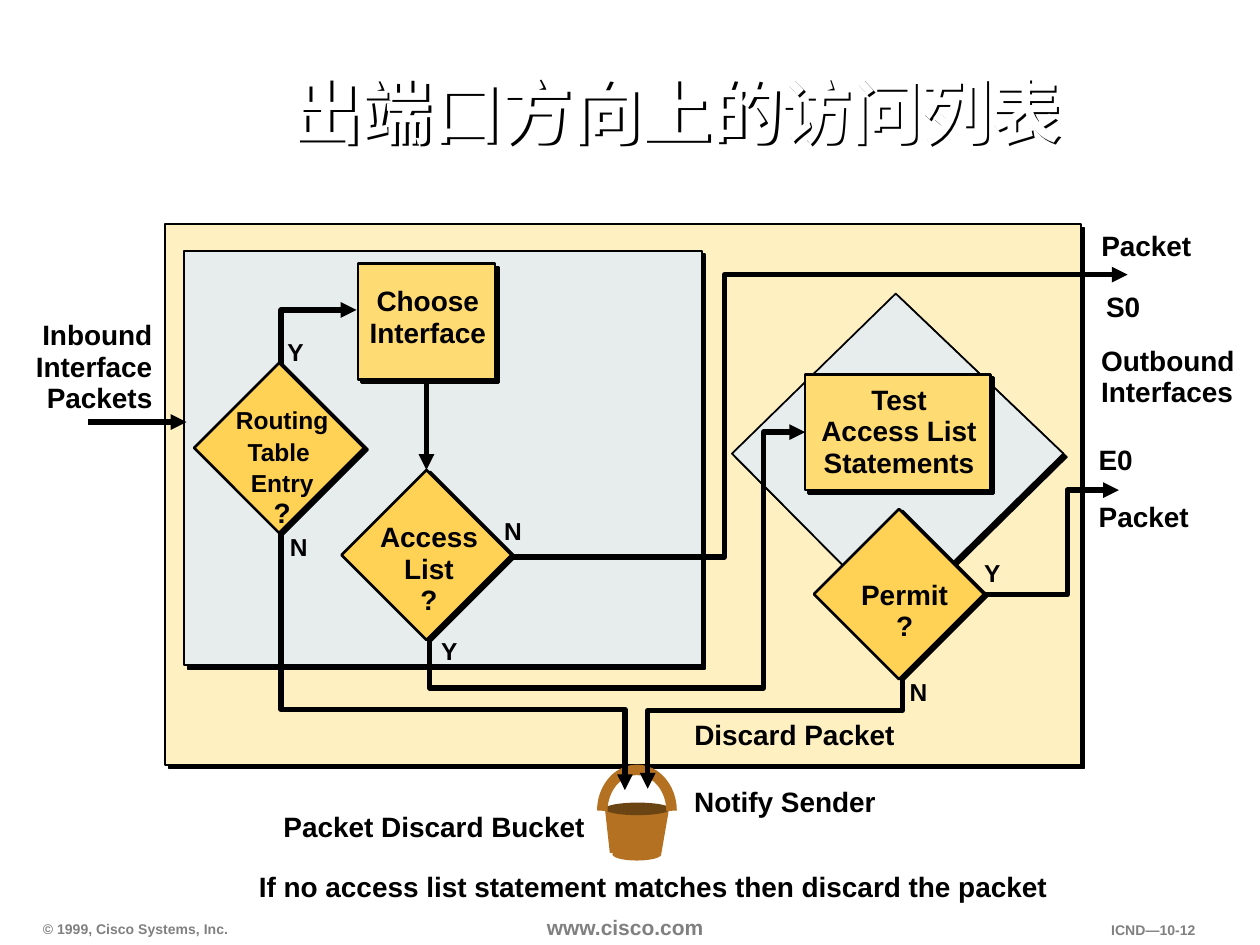
"""Builds the slide on outbound access list operation."""
from lxml import etree
from pptx import Presentation
from pptx import util as u
from pptx.dml.color import RGBColor
from pptx.enum import shapes, text
from pptx.oxml.ns import qn

COLORS = {
    "black": "000000", "white": "FFFFFF", "grey": "808080",
    "router": "FFF0C2", "panel": "E7EDED", "step": "FFDB74",
    "decision": "FFD255", "bucket": "B37121", "bucket_inside": "6B4414",
}
FONT = "Arial"
RECT, DIAMOND = shapes.MSO_SHAPE.RECTANGLE, shapes.MSO_SHAPE.DIAMOND
OVAL, ARC = shapes.MSO_SHAPE.OVAL, shapes.MSO_SHAPE.ARC
LEFT, CENTER, RIGHT = text.PP_ALIGN.LEFT, text.PP_ALIGN.CENTER, text.PP_ALIGN.RIGHT
TOP, MIDDLE, BOTTOM = (text.MSO_ANCHOR.TOP, text.MSO_ANCHOR.MIDDLE,
                       text.MSO_ANCHOR.BOTTOM)


def rgb(name):
    return RGBColor.from_string(COLORS[name])


def add_shadow(effects, distance, angle):
    shadow = etree.SubElement(effects, qn("a:outerShdw"), blurRad="0",
                              dist=str(u.Pt(distance)), dir=str(angle * 60000),
                              algn="ctr", rotWithShape="0")
    etree.SubElement(shadow, qn("a:srgbClr"), val=COLORS["black"])


def set_look(shape, fill=None, line=None, width=1, shadow=None):
    shape.shadow.inherit = False
    if fill:
        shape.fill.solid()
        shape.fill.fore_color.rgb = rgb(fill)
    else:
        shape.fill.background()
    if line:
        shape.line.color.rgb = rgb(line)
        shape.line.width = u.Pt(width)
    else:
        shape.line.fill.background()
    if shadow:
        add_shadow(shape._element.spPr.find(qn("a:effectLst")), *shadow)
    return shape


def add_preset(container, kind, box, **look):
    shape = container.add_shape(kind, *map(u.Inches, box))
    return set_look(shape, **look)


def add_outline(container, points, close=True, **look):
    corners = [(u.Inches(x), u.Inches(y)) for x, y in points]
    builder = container.build_freeform(*corners[0], scale=1.0)
    builder.add_line_segments(corners[1:], close=close)
    return set_look(builder.convert_to_shape(), **look)


def add_arrowhead(line):
    line.color.rgb = rgb("black")
    line.width = u.Pt(3)
    etree.SubElement(line._get_or_add_ln(), qn("a:tailEnd"), type="triangle")


def add_route(container, points):
    route = add_outline(container, points, close=False, line="black", width=3)
    add_arrowhead(route.line)


def add_arrow(container, start, end):
    arrow = container.add_connector(shapes.MSO_CONNECTOR.STRAIGHT,
                                    *map(u.Inches, (*start, *end)))
    add_arrowhead(arrow.line)
    etree.SubElement(arrow._element.spPr, qn("a:effectLst"))
    return arrow


def add_label(container, box, words, size=16, align=CENTER, spacing=u.Pt(18),
              color="black", anchor=TOP, insets=(0.02, 0.03), wrap=False):
    label = container.add_textbox(*map(u.Inches, box))
    frame = label.text_frame
    frame.word_wrap = wrap
    frame.vertical_anchor = anchor
    frame.margin_left = frame.margin_right = u.Inches(insets[0])
    frame.margin_top = frame.margin_bottom = u.Inches(insets[1])
    frame.text = words
    for paragraph in frame.paragraphs:
        paragraph.alignment = align
        paragraph.line_spacing = spacing
        paragraph.font.name = FONT
        paragraph.font.size = u.Pt(size)
        paragraph.font.bold = True
        paragraph.font.color.rgb = rgb(color)
    return frame


def add_title(container):
    for offset, color in ((0.02, "black"), (0, "white")):
        add_label(container, (1.2 + offset, 0.29 + offset, 8.34, 1.25),
                  "出端口方向上的访问列表", 40, spacing=0.9, color=color,
                  anchor=MIDDLE, insets=(0.09, 0.04), wrap=True)


def add_panels(container):
    look = {"line": "black", "shadow": (2.8, 45)}
    add_preset(container, RECT, (1.31, 1.78, 7.27, 4.29), fill="router", **look)
    add_outline(container, [(5.81, 3.6), (7.11, 2.33), (8.44, 3.6), (7.11, 4.91)],
                fill="panel", **look)
    add_preset(container, RECT, (1.46, 1.99, 4.11, 3.29), fill="panel", **look)


def add_bucket(container):
    parts = container.add_group_shape().shapes
    add_preset(parts, OVAL, (4.86, 6.73, 0.39, 0.1), fill="bucket")
    add_outline(parts, [(4.8, 6.41), (4.84, 6.77), (5.25, 6.77), (5.31, 6.42)],
                fill="bucket")
    add_preset(parts, OVAL, (4.8, 6.37, 0.52, 0.1), fill="bucket_inside")
    handle = add_preset(parts, ARC, (4.78, 6.11, 0.55, 0.65), line="bucket", width=6)
    handle.adjustments[0] = 108
    handle.adjustments[1] = 0


def add_routes(container):
    for points in (
        [(2.23, 4.18), (2.23, 5.63), (4.96, 5.63), (4.96, 6.27)],
        [(3.8, 4.42), (5.75, 4.42), (5.75, 2.18), (8.95, 2.18)],
        [(2.23, 2.91), (2.23, 2.46), (2.83, 2.46)],
        [(3.41, 5.05), (3.41, 5.46), (6.06, 5.46), (6.06, 3.43), (6.39, 3.43)],
        [(7.82, 4.72), (8.47, 4.72), (8.47, 3.89), (8.88, 3.89)],
        [(7.16, 5.36), (7.16, 5.64), (5.14, 5.64), (5.14, 6.26)],
    ):
        add_route(container, points)
    add_arrow(container, (0.7, 3.35), (1.48, 3.35))


def add_nodes(container):
    step = {"fill": "step", "line": "black", "width": 1.5, "shadow": (2.8, 45)}
    decision = {**step, "fill": "decision", "shadow": (2.2, 27)}
    add_preset(container, RECT, (6.39, 2.97, 1.47, 0.92), **step)
    choose = add_preset(container, RECT, (2.84, 2.09, 1.09, 0.92), **step)
    for left, top in ((6.46, 4.04), (1.54, 2.88), (2.71, 3.73)):
        diamond = add_preset(container, DIAMOND, (left, top, 1.35, 1.35), **decision)
    arrow = add_arrow(container, (3.39, 3.01), (3.39, 3.73))
    arrow.begin_connect(choose, 2)
    arrow.end_connect(diamond, 0)


def add_labels(container):
    add_label(container, (2.85, 2.24, 1.09, 0.6), "Choose\nInterface")
    routing = add_label(container, (1.52, 3.17, 1.44, 1.06),
                        "Routing\nTable \nEntry\n?", 14)
    routing.paragraphs[-1].font.size = u.Pt(16)
    add_label(container, (2.97, 4.14, 0.87, 0.56), "Access\nList\n?", insets=(0, 0))
    add_label(container, (6.36, 3.02, 1.55, 0.81), "Test\nAccess List\nStatements")
    add_label(container, (6.46, 4.57, 1.44, 0.81), "Permit\n?")
    add_label(container, (5.28, 5.68, 2.05, 0.5), "Discard Packet")
    for box, words in (
        ((5.49, 6.21, 1.73, 0.41), "Notify Sender"),
        ((8.72, 2.71, 1.1, 0.58), "Outbound \nInterfaces"),
        ((8.72, 1.8, 0.95, 0.27), "Packet"),
        ((8.7, 3.95, 0.95, 0.25), "Packet"),
    ):
        add_label(container, box, words, align=LEFT)
    add_label(container, (0.07, 2.51, 1.16, 0.75), "Inbound\nInterface\nPackets",
              align=RIGHT)
    for box, words in (
        ((2.08, 6.43, 2.73, 0.32), "Packet Discard Bucket"),
        ((1.43, 6.9, 7.57, 0.32),
         "If no access list statement matches then discard the packet "),
    ):
        add_label(container, box, words, spacing=u.Pt(16.9))
    for left, top, answer in ((2.28, 4.21, "N"), (2.26, 2.66, "Y"), (3.98, 4.08, "N"),
                              (3.48, 5.03, "Y"), (7.79, 4.41, "Y"), (7.2, 5.36, "N")):
        add_label(container, (left, top, 0.28, 0.38), answer, 14, LEFT, u.Pt(15.8))
    for left, top, port in ((8.68, 2.25, "S0"), (8.62, 3.46, "E0")):
        add_label(container, (left, top, 0.47, 0.37), port, spacing=1.0,
                  anchor=MIDDLE, insets=(0.1, 0.05))


def add_footer(container):
    look = {"spacing": 1.0, "color": "grey", "insets": (0.09, 0.04)}
    add_label(container, (0.25, 7.26, 1.69, 0.22), "© 1999, Cisco Systems, Inc.", 8,
              LEFT, anchor=BOTTOM, **look)
    add_label(container, (4.25, 7.22, 1.5, 0.28), "www.cisco.com", 12, LEFT,
              wrap=True, **look)
    add_label(container, (8.72, 7.27, 0.86, 0.22), "ICND—10-12", 8, RIGHT, **look)


def main():
    presentation = Presentation()
    presentation.slide_width = u.Inches(10)
    presentation.slide_height = u.Inches(7.5)
    slide = presentation.slides.add_slide(presentation.slide_layouts[6])
    for add_part in (add_footer, add_title, add_panels, add_bucket, add_routes,
                     add_nodes, add_labels):
        add_part(slide.shapes)
    presentation.save("out.pptx")


if __name__ == "__main__":
    main()
